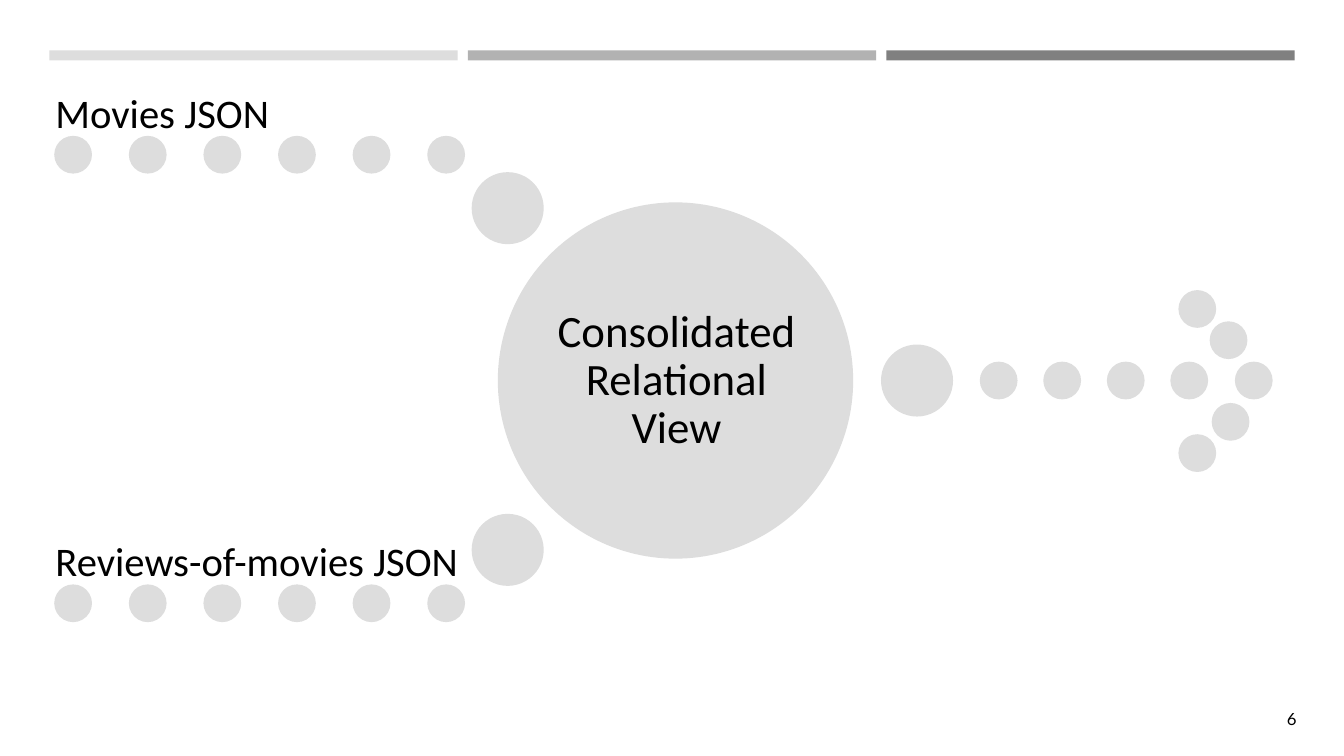
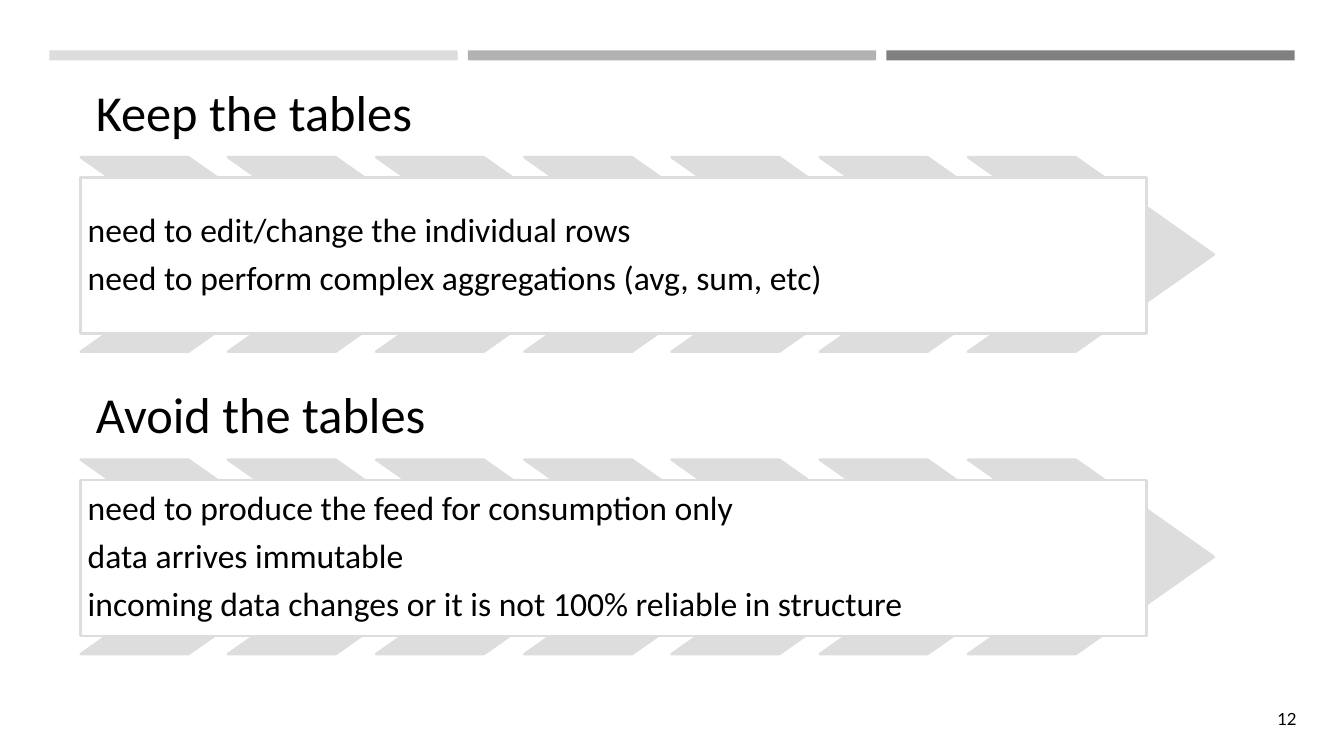
"""Builds two slides on JSON feeds and when to keep or avoid tables."""
from dataclasses import dataclass

from lxml import etree
from pptx import Presentation
from pptx.dml.color import RGBColor
from pptx.enum.shapes import MSO_SHAPE
from pptx.enum.text import MSO_ANCHOR, MSO_AUTO_SIZE, PP_ALIGN
from pptx.oxml.ns import qn
from pptx.util import Pt

RECTANGLE, OVAL, CHEVRON = MSO_SHAPE.RECTANGLE, MSO_SHAPE.OVAL, MSO_SHAPE.CHEVRON
MIDDLE, BOTTOM = MSO_ANCHOR.MIDDLE, MSO_ANCHOR.BOTTOM
LEFT, CENTER, RIGHT = PP_ALIGN.LEFT, PP_ALIGN.CENTER, PP_ALIGN.RIGHT
NO_FIT = MSO_AUTO_SIZE.NONE
PX = 9144
TITLE_ONLY, COMPARISON = 5, 4


@dataclass(frozen=True)
class Theme:
    light: RGBColor = RGBColor.from_string("DDDDDD")
    medium: RGBColor = RGBColor.from_string("B2B2B2")
    dark: RGBColor = RGBColor.from_string("808080")
    paper: RGBColor = RGBColor.from_string("FFFFFF")
    ink: RGBColor = RGBColor.from_string("000000")
    font: str = "Calibri"
    number_font: str = "Lato"
    outline: float = 1.75
    heading: int = 36
    hub: int = 32
    label: int = 29
    list: int = 24
    number: int = 12


def assign(target, values):
    for name, value in values.items():
        setattr(target, name, value)


def spread(first, last, count):
    return [first + (last - first) * i // (count - 1) for i in range(count)]


class Deck:
    def __init__(self, theme):
        self.theme = theme
        self.presentation = Presentation()
        assign(self.presentation, {"slide_width": 1333 * PX, "slide_height": 750 * PX})
        self.slide = None

    def add_slide(self, layout, number):
        self.slide = self.presentation.slides.add_slide(
            self.presentation.slide_layouts[layout])
        self.text([str(number)], (1235, 694, 61, 40), self.theme.number,
                  font=self.theme.number_font, align=RIGHT, insets=(10, 5))

    def master_bands(self):
        master = self.presentation.slide_master.shapes.element
        colors = (self.theme.light, self.theme.medium, self.theme.dark)
        for left, color in zip(spread(49, 879, 3), colors):
            band = self.shape(RECTANGLE, (left, 50, 405, 10), color, outlined=False)
            master.append(band.element)

    def paint(self, shape, fill, outlined=True):
        shape.fill.solid()
        shape.fill.fore_color.rgb = fill
        if outlined:
            shape.line.color.rgb = self.theme.light
            shape.line.width = Pt(self.theme.outline)
        else:
            shape.line.fill.background()

    def shape(self, kind, box, fill, outlined=True):
        shape = self.slide.shapes.add_shape(kind, *(value * PX for value in box))
        shape.shadow.inherit = False
        self.paint(shape, fill, outlined)
        return shape

    def dot(self, left, top, size=35):
        self.shape(OVAL, (left, top, size, size), self.theme.light)

    def text(self, lines, box, size, placeholder=None, font=None,
             align=LEFT, anchor=MIDDLE, insets=(0, 0)):
        left, top, width, height = (value * PX for value in box)
        if placeholder is None:
            shape = self.slide.shapes.add_textbox(left, top, width, height)
        else:
            shape = self.slide.placeholders[placeholder]
            assign(shape, {"left": left, "top": top, "width": width, "height": height})
            self.slide.shapes.element.append(shape.element)
        side, edge = (value * PX for value in insets)
        frame = shape.text_frame
        frame.text = "\n".join(lines)
        assign(frame, {"word_wrap": True, "auto_size": NO_FIT, "vertical_anchor": anchor,
                       "margin_left": side, "margin_right": side,
                       "margin_top": edge, "margin_bottom": edge})
        for paragraph in frame.paragraphs:
            assign(paragraph, {"alignment": align, "line_spacing": 0.9,
                               "space_before": Pt(0), "space_after": Pt(size * 0.35)})
            run_font = paragraph.runs[0].font
            assign(run_font, {"name": font or self.theme.font, "size": Pt(size),
                              "bold": False})
            run_font.color.rgb = self.theme.ink
        for properties in shape.element.iter(qn("a:pPr")):
            properties.set("marL", "0")
            properties.set("indent", "0")
            etree.SubElement(properties, qn("a:buNone"))
        return shape

    def feed(self, label, top, joint_top):
        self.text([label], (55, top - 89, 406, 89), self.theme.label, anchor=BOTTOM)
        for left in spread(55, 425, 6):
            self.dot(left, top)
        self.dot(469, joint_top, 69)

    def arrow_panel(self, heading, lines, top, heading_index, list_index):
        self.text([heading], (80, top - 95, 1043, 95), self.theme.heading,
                  heading_index, anchor=BOTTOM, insets=(15, 15))
        for left in spread(80, 960, 7):
            chevron = self.shape(CHEVRON, (left, top, 244, 193), self.theme.light)
            chevron.adjustments[0] = 0.71
        panel = self.text(lines, (80, top + 20, 1057, 155), self.theme.list,
                          list_index, insets=(7, 7))
        self.paint(panel, self.theme.paper)

    def remove_empty_placeholders(self):
        for placeholder in list(self.slide.placeholders):
            if not placeholder.text_frame.text:
                self.slide.shapes.element.remove(placeholder.element)


def build_consolidated_view(deck):
    deck.add_slide(TITLE_ONLY, 6)
    deck.master_bands()
    deck.dot(875, 343, 69)
    for left in spread(973, 1226, 5):
        deck.dot(left, 360)
    for left, top in ((1170, 289), (1201, 320), (1203, 401), (1170, 432)):
        deck.dot(left, top)
    deck.shape(OVAL, (495, 202, 350, 351), deck.theme.light)
    deck.text(["Consolidated Relational View"], (547, 254, 248, 248), deck.theme.hub,
              placeholder=0, align=CENTER, insets=(4, 4))
    deck.feed("Movies JSON", 136, 172)
    deck.feed("Reviews-of-movies JSON", 581, 511)


def build_table_advice(deck):
    deck.add_slide(COMPARISON, 12)
    deck.arrow_panel("Keep the tables", [
        "need to edit/change the individual rows",
        "need to perform complex aggregations (avg, sum, etc)",
    ], 156, 0, 2)
    deck.arrow_panel("Avoid the tables", [
        "need to produce the feed for consumption only",
        "data arrives immutable",
        "incoming data changes or it is not 100% reliable in structure",
    ], 456, 3, 4)
    deck.remove_empty_placeholders()


def main():
    deck = Deck(Theme())
    build_consolidated_view(deck)
    build_table_advice(deck)
    deck.presentation.save("out.pptx")


if __name__ == "__main__":
    main()
